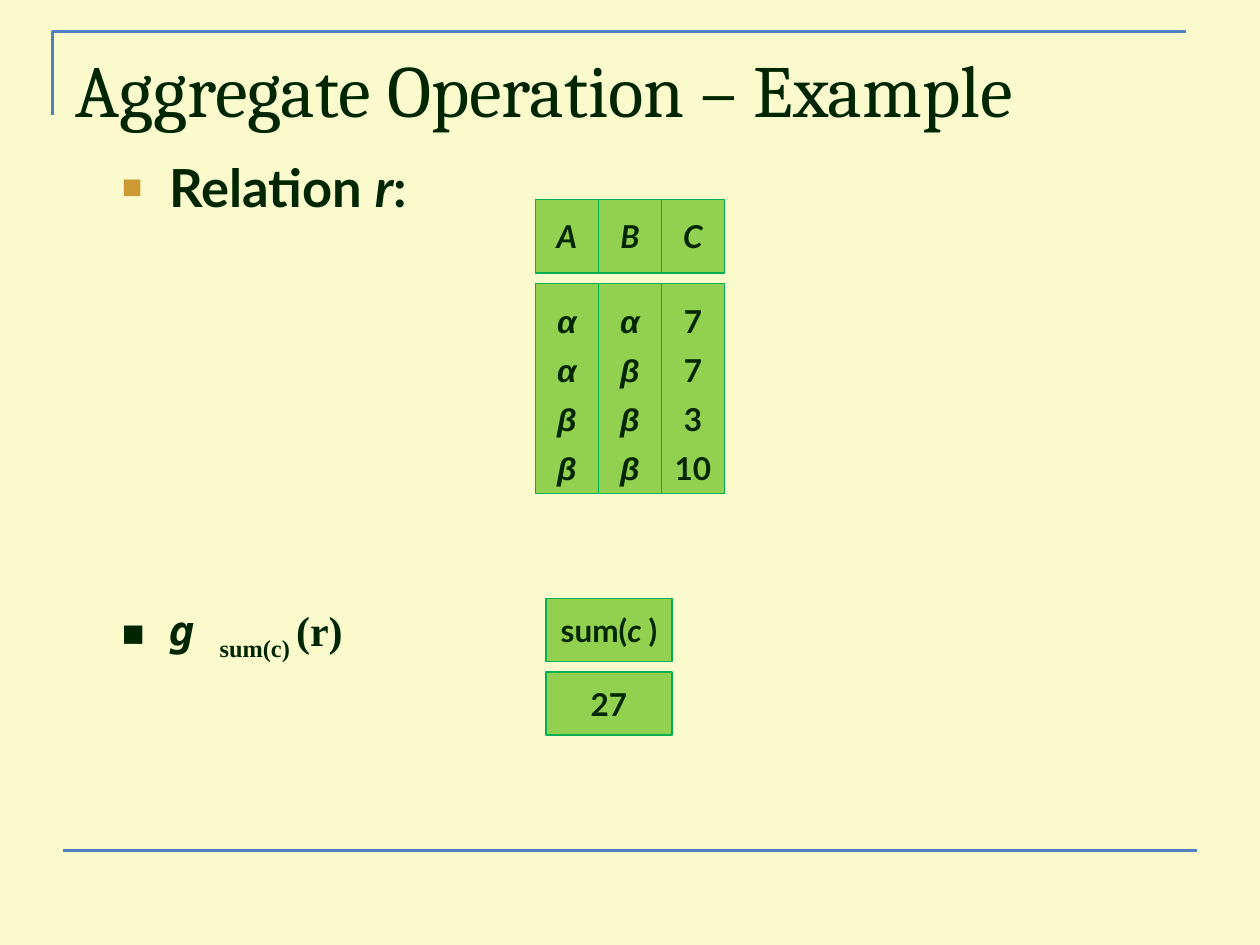
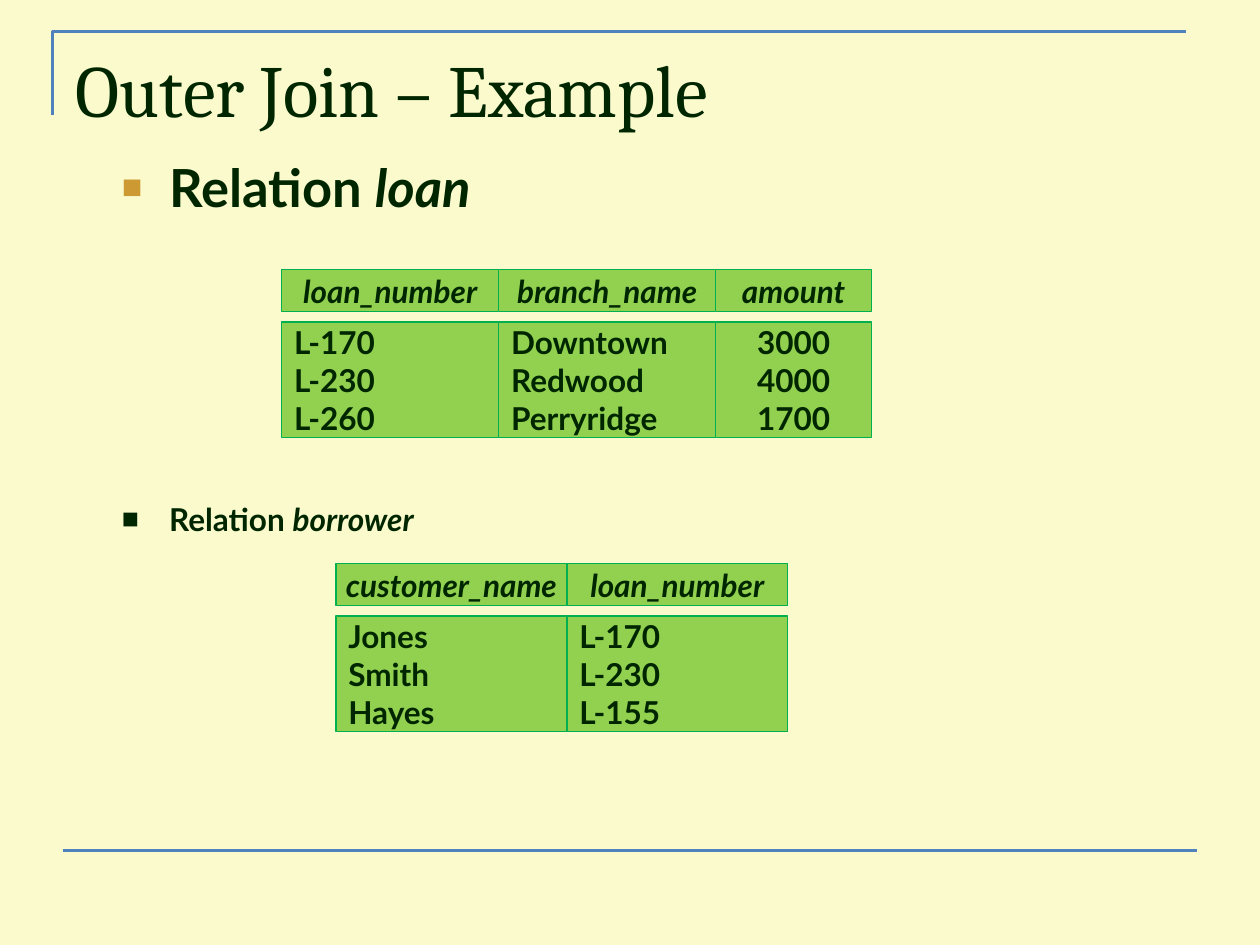
"""Build two slides with worked relational algebra examples."""
from dataclasses import dataclass

from lxml import etree
from pptx import Presentation
from pptx.dml.color import RGBColor
from pptx.enum.shapes import MSO_CONNECTOR, MSO_SHAPE
from pptx.enum.text import MSO_ANCHOR, MSO_AUTO_SIZE, PP_ALIGN
from pptx.oxml.ns import qn
from pptx.util import Pt

RECTANGLE = MSO_SHAPE.RECTANGLE
STRAIGHT = MSO_CONNECTOR.STRAIGHT
TOP, MIDDLE = MSO_ANCHOR.TOP, MSO_ANCHOR.MIDDLE
LEFT, CENTER = PP_ALIGN.LEFT, PP_ALIGN.CENTER
NO_AUTOFIT = MSO_AUTO_SIZE.NONE
TITLE_ONLY = 5

BACKGROUND = "FAFACC"
INK = "002600"
RULE = "4F81BD"
ACCENT = "CC9933"
CELL_FILL = "92D050"
CELL_LINE = "00B050"
TITLE_FONT, BODY_FONT, GREEK_FONT = "Cambria", "Lato", "Arial"
MONO_FONT, SERIF_FONT = "DejaVu Sans Mono", "Times New Roman"


def color(hex_string):
    """Turn a hex string into a colour."""
    return RGBColor.from_string(hex_string)


@dataclass
class Run:
    """Hold a piece of text and its style."""
    text: str
    italic: bool = False
    font: str = BODY_FONT
    baseline: int = 0


@dataclass
class Column:
    """Hold one column of a relation."""
    header: list
    width: float
    values: list
    align: PP_ALIGN = CENTER
    italic: bool = False
    font: str = BODY_FONT


class Deck:
    """Hold the style and the current slide."""

    def __init__(self):
        """Start a presentation with a shared background."""
        self.presentation = Presentation()
        self.presentation.slide_width = Pt(720)
        self.presentation.slide_height = Pt(540)
        fill = self.presentation.slide_master.background.fill
        fill.solid()
        fill.fore_color.rgb = color(BACKGROUND)
        self.slide = None

    def new_slide(self, title):
        """Add a slide with its frame and title."""
        layout = self.presentation.slide_layouts[TITLE_ONLY]
        self.slide = self.presentation.slides.add_slide(layout)
        self.frame()
        shape = self.slide.shapes.title
        shape.left, shape.top, shape.width, shape.height = Pt(36), Pt(21.6), Pt(648), Pt(90)
        text_frame = shape.text_frame
        text_frame.auto_size = NO_AUTOFIT
        text_frame.vertical_anchor = TOP
        paragraph = text_frame.paragraphs[0]
        paragraph.alignment = LEFT
        self.run(paragraph, Run(title, font=TITLE_FONT), 42, bold=False)

    def frame(self):
        """Draw the corner outline and the bottom rule."""
        builder = self.slide.shapes.build_freeform(Pt(30), Pt(66))
        builder.add_line_segments([(Pt(30), Pt(18)), (Pt(678), Pt(18))], close=False)
        corner = builder.convert_to_shape()
        corner.shadow.inherit = False
        corner.fill.background()
        rule = self.slide.shapes.add_connector(STRAIGHT, Pt(36), Pt(486), Pt(684), Pt(486))
        etree.SubElement(rule.line._get_or_add_ln().getparent(), qn("a:effectLst"))
        for shape in (corner, rule):
            shape.line.color.rgb = color(RULE)
            shape.line.width = Pt(1.5)

    def run(self, paragraph, style, size, bold=True):
        """Add one run to a paragraph."""
        run = paragraph.add_run()
        run.text = style.text
        run.font.name = style.font
        run.font.size = Pt(size)
        run.font.bold = bold
        run.font.italic = style.italic
        run.font.color.rgb = color(INK)
        if style.baseline:
            run._r.get_or_add_rPr().set("baseline", str(style.baseline * 1000))

    def bullet(self, top, width, height, runs, size, bullet_color=INK, bullet_percent=90):
        """Add a line of text with a square bullet."""
        box = self.slide.shapes.add_textbox(Pt(62.6), Pt(top), Pt(width), Pt(height))
        box.text_frame.word_wrap = True
        paragraph = box.text_frame.paragraphs[0]
        properties = paragraph._p.get_or_add_pPr()
        properties.set("marL", str(Pt(27)))
        properties.set("indent", str(-Pt(27)))
        bullet_fill = etree.SubElement(properties, qn("a:buClr"))
        etree.SubElement(bullet_fill, qn("a:srgbClr"), val=bullet_color)
        etree.SubElement(properties, qn("a:buSzPct"), val=str(bullet_percent * 1000))
        etree.SubElement(properties, qn("a:buFont"), typeface="Arial")
        etree.SubElement(properties, qn("a:buChar"), char="■")
        for style in runs:
            self.run(paragraph, style, size)

    def cell(self, left, top, width, height, lines, align=CENTER, spacing=None):
        """Add a filled cell with one paragraph for each line."""
        shape = self.slide.shapes.add_shape(RECTANGLE, Pt(left), Pt(top), Pt(width), Pt(height))
        shape.shadow.inherit = False
        shape.fill.solid()
        shape.fill.fore_color.rgb = color(CELL_FILL)
        shape.line.color.rgb = color(CELL_LINE)
        shape.line.width = Pt(0.75)
        text_frame = shape.text_frame
        text_frame.word_wrap = align == LEFT
        text_frame.vertical_anchor = MIDDLE
        for index, runs in enumerate(lines):
            paragraph = text_frame.add_paragraph() if index else text_frame.paragraphs[0]
            paragraph.alignment = align
            if spacing:
                paragraph.line_spacing = spacing
            for style in runs:
                self.run(paragraph, style, 18)

    def relation(self, left, top, header_height, body_height, columns, gap=6, spacing=None):
        """Draw header cells above body cells, column by column."""
        body_top = top + header_height + gap
        for column in columns:
            self.cell(left, top, column.width, header_height, [column.header])
            lines = [[Run(value, column.italic, column.font)] for value in column.values]
            self.cell(left, body_top, column.width, body_height, lines, column.align, spacing)
            left += column.width


def aggregate_slide(deck):
    """Build the aggregate operation slide."""
    deck.new_slide("Aggregate Operation – Example")
    deck.bullet(85, 189, 45, [Run("Relation "), Run("r", True), Run(":")], 30, ACCENT, 65)
    deck.relation(306, 114, 42, 120, [
        Column([Run("A", True)], 36, ["α", "α", "β", "β"], italic=True, font=GREEK_FONT),
        Column([Run("B", True)], 36, ["α", "β", "β", "β"], italic=True, font=GREEK_FONT),
        Column([Run("C", True)], 36, ["7", "7", "3", "10"]),
    ], spacing=1.3)
    deck.bullet(342, 158, 44, [
        Run("g ", True, MONO_FONT),
        Run("sum(c) ", font=SERIF_FONT, baseline=-25),
        Run("(r)", font=SERIF_FONT),
    ], 24)
    sum_header = [Run("sum("), Run("c ", True), Run(")")]
    deck.relation(312, 342, 36, 36, [Column(sum_header, 72, ["27"])])


def outer_join_slide(deck):
    """Build the outer join slide."""
    deck.new_slide("Outer Join – Example")
    deck.bullet(85, 540, 38, [Run("Relation "), Run("loan", True)], 30, ACCENT, 65)
    deck.relation(161, 154, 24, 66, [
        Column([Run("loan_number", True)], 124, ["L-170", "L-230", "L-260"], LEFT),
        Column([Run("branch_name", True)], 124, ["Downtown", "Redwood", "Perryridge"], LEFT),
        Column([Run("amount", True)], 89, ["3000", "4000", "1700"]),
    ])
    deck.bullet(282, 554, 38, [Run("Relation "), Run("borrower", True)], 18)
    deck.relation(192, 322, 24, 66, [
        Column([Run("customer_name", True)], 132, ["Jones", "Smith", "Hayes"], LEFT),
        Column([Run("loan_number", True)], 126, ["L-170", "L-230", "L-155"], LEFT),
    ])


def main():
    """Build and save the presentation."""
    deck = Deck()
    aggregate_slide(deck)
    outer_join_slide(deck)
    deck.presentation.save("out.pptx")


if __name__ == "__main__":
    main()
